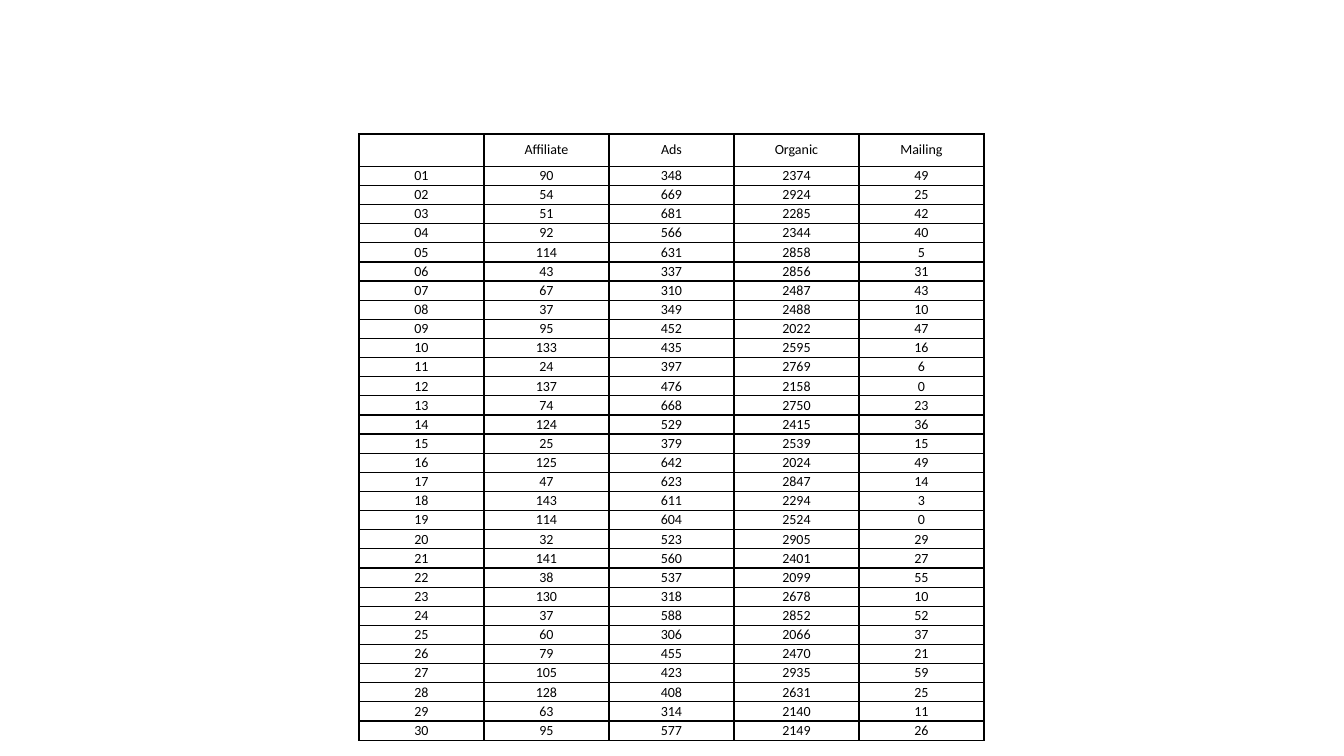
from dataclasses import astuple, dataclass

from lxml import etree
from pptx import Presentation
from pptx import util as u
from pptx.dml.color import RGBColor
from pptx.enum import text
from pptx.oxml import ns
from pptx.table import _Cell

BLACK = "000000"
BORDER_WIDTH = u.Pt(1)
COLUMN_WIDTH = u.Inches(1.24)
HEADER_HEIGHT = u.Inches(0.32)
ROW_HEIGHT = u.Inches(0.19)
HEADERS = ("", "Affiliate", "Ads", "Organic", "Mailing")
CELL_FORMAT = {
    "margin_left": 0,
    "margin_right": 0,
    "margin_top": 0,
    "margin_bottom": 0,
    "vertical_anchor": text.MSO_ANCHOR.MIDDLE,
}
FONT_FORMAT = {"name": "Calibri", "size": u.Pt(10), "bold": False}


@dataclass(frozen=True)
class DailyVisits:
    affiliate: int
    ads: int
    organic: int
    mailing: int


VISITS = [
    DailyVisits(90, 348, 2374, 49),
    DailyVisits(54, 669, 2924, 25),
    DailyVisits(51, 681, 2285, 42),
    DailyVisits(92, 566, 2344, 40),
    DailyVisits(114, 631, 2858, 5),
    DailyVisits(43, 337, 2856, 31),
    DailyVisits(67, 310, 2487, 43),
    DailyVisits(37, 349, 2488, 10),
    DailyVisits(95, 452, 2022, 47),
    DailyVisits(133, 435, 2595, 16),
    DailyVisits(24, 397, 2769, 6),
    DailyVisits(137, 476, 2158, 0),
    DailyVisits(74, 668, 2750, 23),
    DailyVisits(124, 529, 2415, 36),
    DailyVisits(25, 379, 2539, 15),
    DailyVisits(125, 642, 2024, 49),
    DailyVisits(47, 623, 2847, 14),
    DailyVisits(143, 611, 2294, 3),
    DailyVisits(114, 604, 2524, 0),
    DailyVisits(32, 523, 2905, 29),
    DailyVisits(141, 560, 2401, 27),
    DailyVisits(38, 537, 2099, 55),
    DailyVisits(130, 318, 2678, 10),
    DailyVisits(37, 588, 2852, 52),
    DailyVisits(60, 306, 2066, 37),
    DailyVisits(79, 455, 2470, 21),
    DailyVisits(105, 423, 2935, 59),
    DailyVisits(128, 408, 2631, 25),
    DailyVisits(63, 314, 2140, 11),
    DailyVisits(95, 577, 2149, 26),
]


def color(code: str) -> RGBColor:
    return RGBColor.from_string(code)


def apply(target: object, values: dict) -> None:
    for name, value in values.items():
        setattr(target, name, value)


def add_borders(cell: _Cell, code: str) -> None:
    properties = cell._tc.get_or_add_tcPr()
    for side in ("a:lnL", "a:lnR", "a:lnT", "a:lnB"):
        line = etree.SubElement(properties, ns.qn(side), w=str(BORDER_WIDTH))
        fill = etree.SubElement(line, ns.qn("a:solidFill"))
        etree.SubElement(fill, ns.qn("a:srgbClr"), val=code)


def fill_cell(cell: _Cell, content: str) -> None:
    apply(cell, CELL_FORMAT)
    add_borders(cell, BLACK)
    cell.fill.background()
    para = cell.text_frame.paragraphs[0]
    para.alignment = text.PP_ALIGN.CENTER
    if content:
        span = para.add_run()
        span.text = content
        apply(span.font, FONT_FORMAT)
        span.font.color.rgb = color(BLACK)


def main() -> None:
    deck = Presentation()
    deck.slide_width, deck.slide_height = u.Inches(13.33), u.Inches(7.5)
    page = deck.slides.add_slide(deck.slide_layouts[6])

    # Table grid
    rows = [HEADERS] + [
        (f"{day:02}", *map(str, astuple(visits)))
        for day, visits in enumerate(VISITS, start=1)
    ]
    table = page.shapes.add_table(
        len(rows), len(HEADERS), u.Inches(3.56), u.Inches(1.33),
        COLUMN_WIDTH * len(HEADERS), HEADER_HEIGHT + ROW_HEIGHT * len(VISITS),
    ).table
    apply(table, {"first_row": False, "horz_banding": False})
    for column in table.columns:
        column.width = COLUMN_WIDTH

    # Header and daily figures
    for index, (row, contents) in enumerate(zip(table.rows, rows)):
        row.height = ROW_HEIGHT if index else HEADER_HEIGHT
        for cell, content in zip(row.cells, contents):
            fill_cell(cell, content)

    deck.save("out.pptx")


if __name__ == "__main__":
    main()
